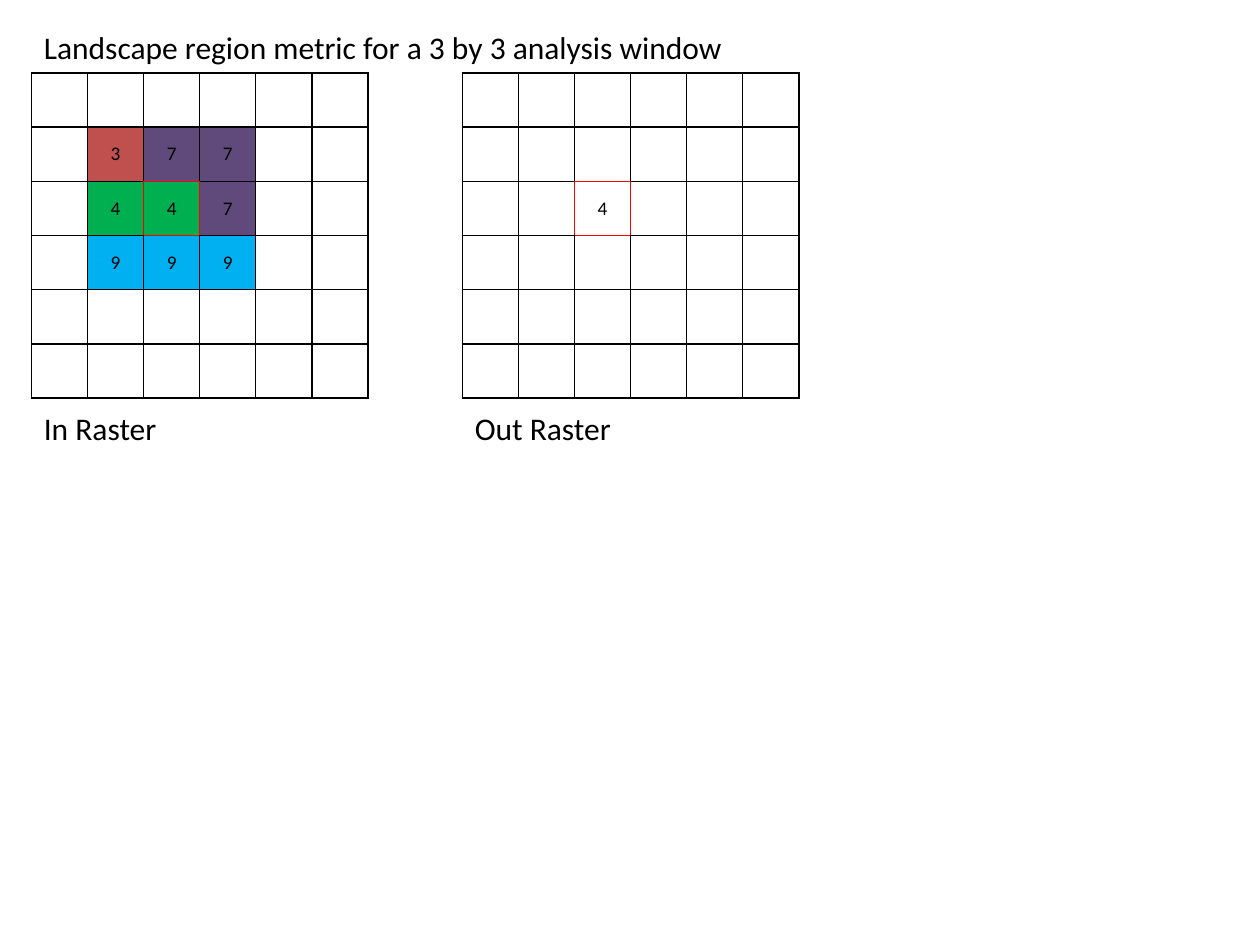
from lxml.etree import SubElement
from pptx import Presentation
from pptx.dml.color import RGBColor
from pptx.enum.text import MSO_ANCHOR as Anchor, MSO_AUTO_SIZE as AutoSize, PP_ALIGN as Align
from pptx.oxml.ns import qn
from pptx.util import Inches, Pt

N = 6                                # cells along each side of a raster
COL_W, ROW_H = 2.67 / N, 0.43        # inches
LEFT_IN, LEFT_OUT, GRID_TOP = 0.25, 3.67, 0.58
TITLE_TOP, CAPTION_TOP, LABEL_H = 0.17, 3.2, 0.4
FOCUS = (2, 2)                       # row and column of the window's centre
BLACK, RED, WHITE = "000000", "FF0000", "FFFFFF"
REGION_FILL = {3: "C0504D", 4: "00B050", 7: "604A7B", 9: "00B0F0"}
WINDOW = [[3, 7, 7],
          [4, 4, 7],
          [9, 9, 9]]
# Border tag and the offset of the cell beyond that edge
EDGES = {"a:lnL": (0, -1), "a:lnR": (0, 1), "a:lnT": (-1, 0), "a:lnB": (1, 0)}


def color(value):
    return RGBColor.from_string(value)


def set_font(font, size):
    for name, value in {"size": Pt(size), "name": "Calibri"}.items():
        setattr(font, name, value)
    font.color.rgb = color(BLACK)


def add_label(s, text, left, top, width):
    tf = s.shapes.add_textbox(*map(Inches, (left, top, width, LABEL_H))).text_frame
    for name, value in {"word_wrap": True, "auto_size": AutoSize.SHAPE_TO_FIT_TEXT}.items():
        setattr(tf, name, value)
    r = tf.paragraphs[0].add_run()
    r.text = text
    set_font(r.font, 18)


def set_borders(cell, row, col):
    """Every edge is black, except those shared with the focus cell."""
    tcPr = cell._tc.get_or_add_tcPr()
    for i, (tag, (dr, dc)) in enumerate(EDGES.items()):
        on_focus = FOCUS in ((row, col), (row + dr, col + dc))
        ln = SubElement(tcPr, qn(tag), w=str(Pt(1)))
        fill = SubElement(ln, qn("a:solidFill"))
        SubElement(fill, qn("a:srgbClr"), val=RED if on_focus else BLACK)
        tcPr.insert(i, ln)           # borders come before the cell's fill


def fill_cell(cell, fill):
    if fill is None:
        cell.fill.background()
    else:
        cell.fill.solid()
        cell.fill.fore_color.rgb = color(fill)


def add_raster(s, left, values, window_fill):
    """values maps (row, col) to a number; window_fill gives a window cell's fill."""
    size = (left, GRID_TOP, N * COL_W, N * ROW_H)
    table = s.shapes.add_table(N, N, *map(Inches, size)).table
    for name in ("first_row", "horz_banding"):
        setattr(table, name, False)
    for i in range(N):
        table.columns[i].width = Inches(COL_W)
        table.rows[i].height = Inches(ROW_H)
    for row in range(N):
        for col in range(N):
            cell = table.cell(row, col)
            in_window = max(abs(row - FOCUS[0]), abs(col - FOCUS[1])) <= 1
            value = values.get((row, col))
            fill_cell(cell, window_fill(value) if in_window else WHITE)
            set_borders(cell, row, col)
            cell.vertical_anchor = Anchor.MIDDLE
            p = cell.text_frame.paragraphs[0]
            p.alignment = Align.CENTER
            set_font(p.font, 11)
            if value is not None:
                r = p.add_run()
                r.text = str(value)
                set_font(r.font, 11)


def main():
    prs = Presentation()
    prs.slide_width, prs.slide_height = Inches(10), Inches(7.5)
    s = prs.slides.add_slide(prs.slide_layouts[6])

    # Captions below the rasters
    for text, left in (("In Raster", LEFT_IN), ("Out Raster", LEFT_OUT)):
        add_label(s, text, left, CAPTION_TOP, N * COL_W)

    # Input raster with its window of regions, output raster with the result
    window = {(FOCUS[0] - 1 + i, FOCUS[1] - 1 + j): value
              for i, line in enumerate(WINDOW) for j, value in enumerate(line)}
    add_raster(s, LEFT_IN, window, REGION_FILL.get)
    add_raster(s, LEFT_OUT, {FOCUS: 4}, lambda value: None)

    # Title across both rasters
    add_label(s, "Landscape region metric for a 3 by 3 analysis window",
              LEFT_IN, TITLE_TOP, LEFT_OUT + N * COL_W - LEFT_IN)
    prs.save("out.pptx")


if __name__ == "__main__":
    main()
